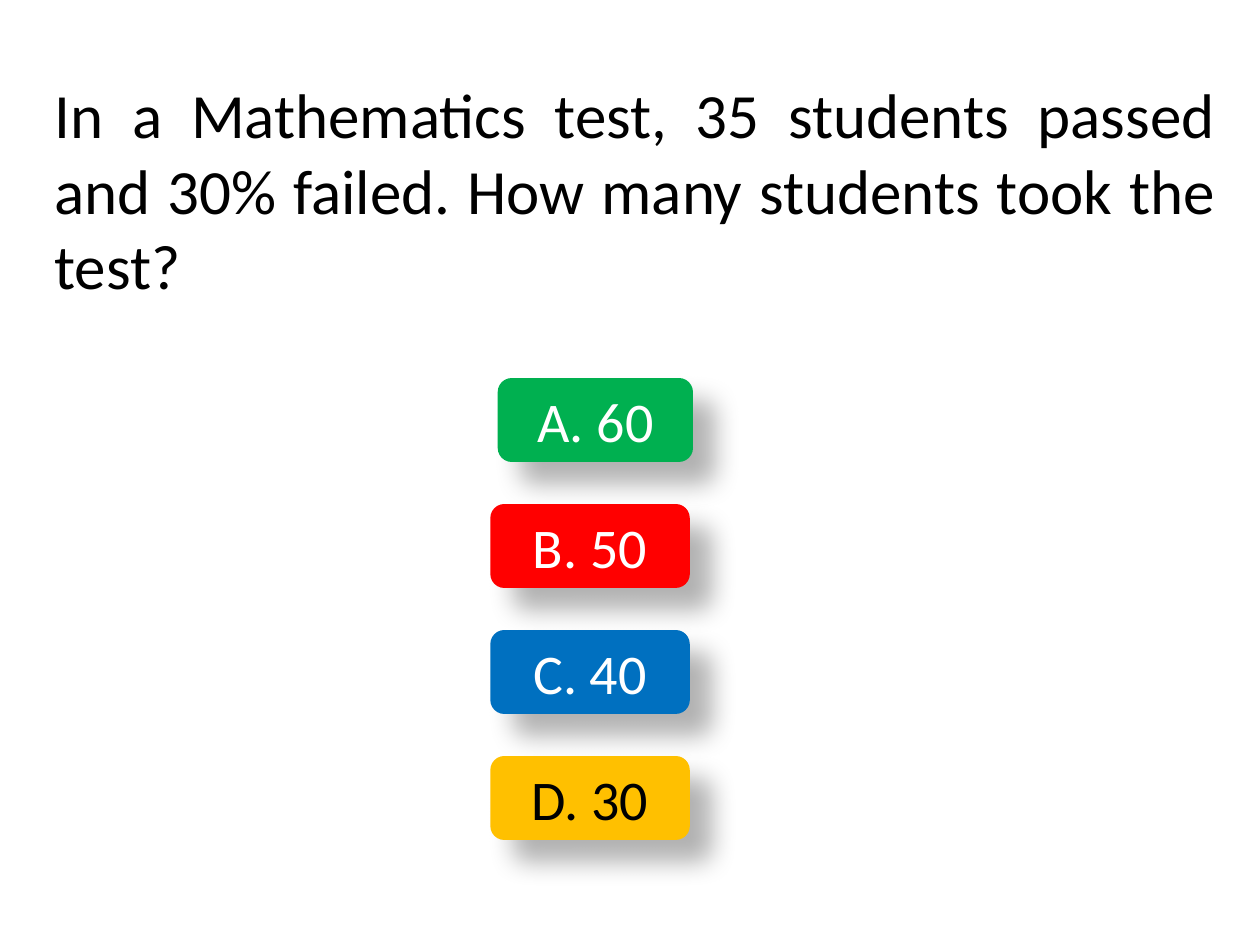
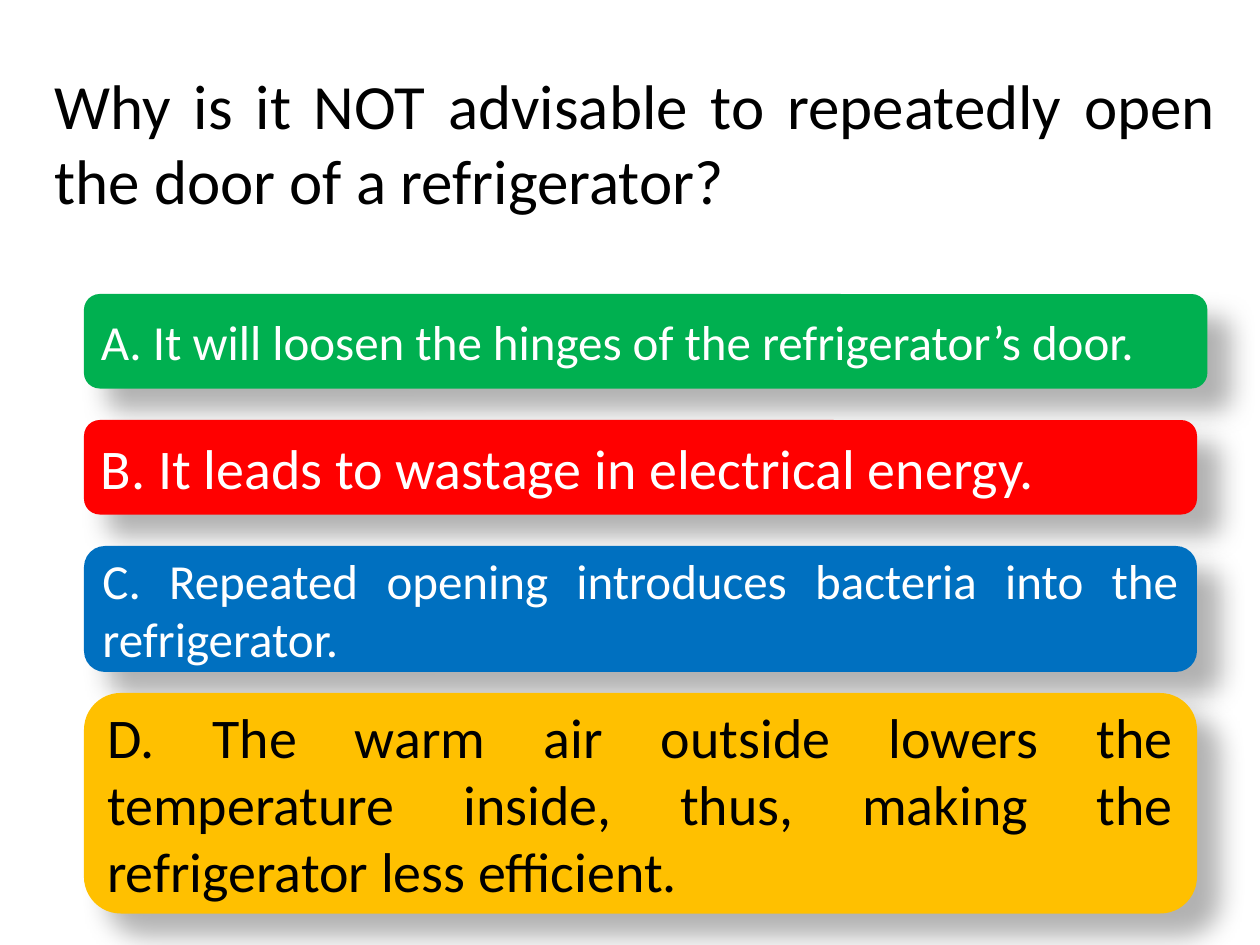
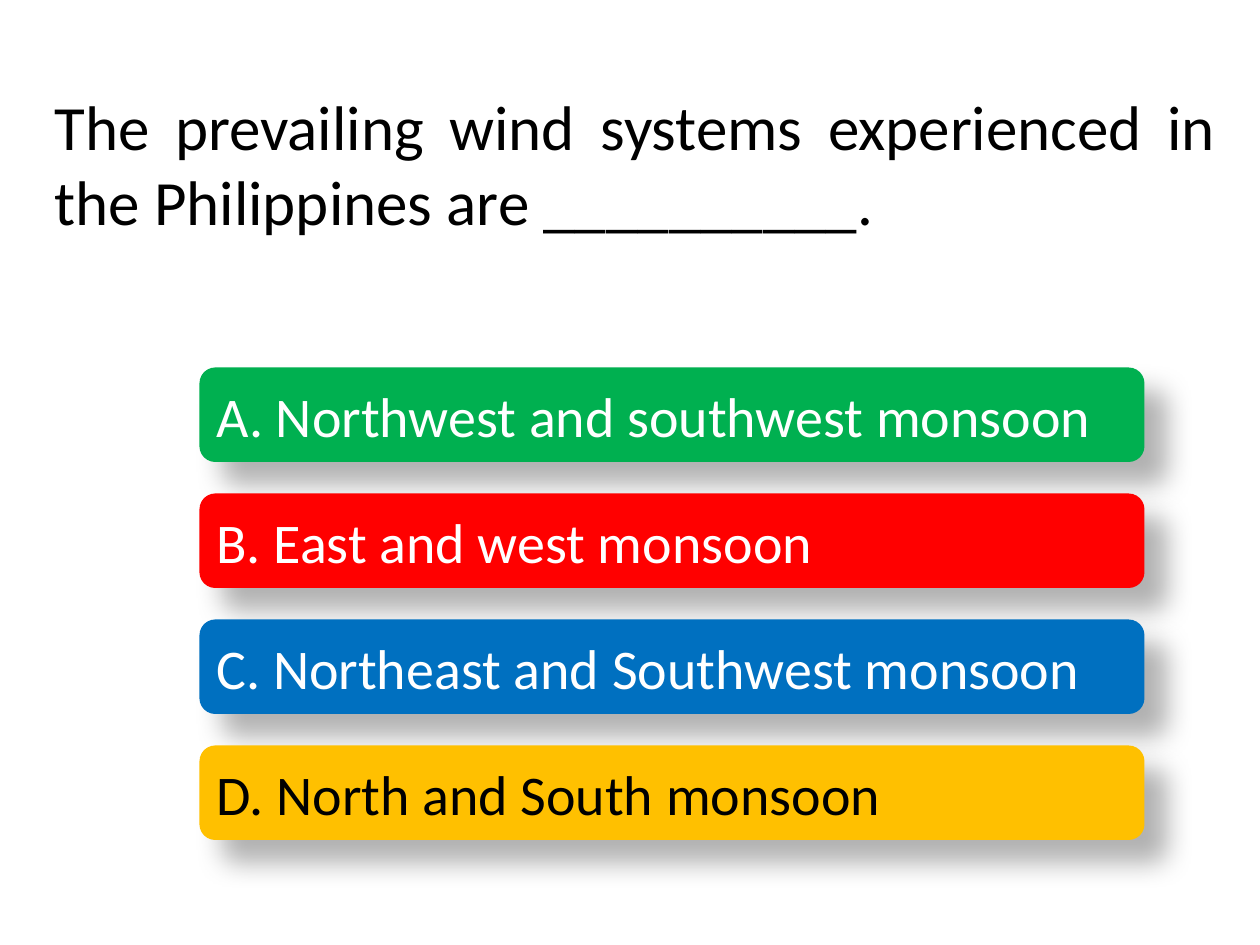
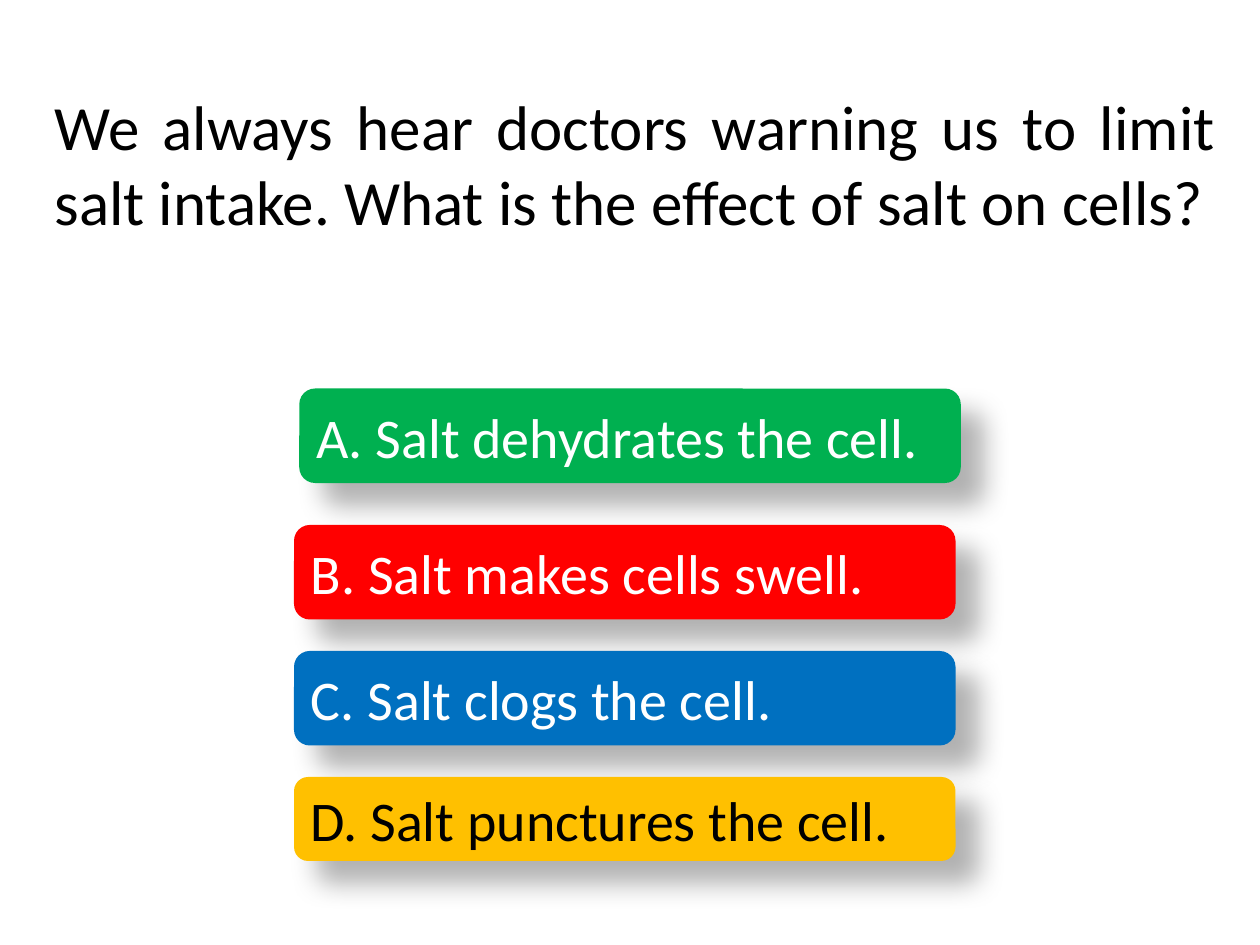
from lxml import etree
from pptx import Presentation
from pptx.dml.color import RGBColor
from pptx.enum.shapes import MSO_SHAPE
from pptx.enum.text import MSO_ANCHOR, PP_ALIGN
from pptx.oxml.ns import qn
from pptx.util import Inches, Pt

# Slide size and grid
SLIDE_W, SLIDE_H = Inches(10), Inches(7.5)
COLS, ROWS = 120, 90
ROW_STEP = 12

# Shared style
FONT = "Calibri"
BLACK, WHITE = "000000", "FFFFFF"
ANSWER_STYLES = [("00B050", WHITE), ("FF0000", WHITE),
                 ("0070C0", WHITE), ("FFC000", BLACK)]

# Each answer may override the defaults of its question
QUIZ = [
    dict(question="In a Mathematics test, 35 students passed and 30% failed. "
                  "How many students took the test?",
         title_rows=26,
         defaults=dict(col=46.7, row=36, cols=19, rows=8, align=PP_ALIGN.CENTER),
         answers=[("A. 60", dict(col=47.4, cols=18.6)),
                  ("B. 50", {}),
                  ("C. 40", {}),
                  ("D. 30", {})]),
    dict(question="Why is it NOT advisable to repeatedly open the door of a refrigerator?",
         title_rows=17,
         defaults=dict(col=8, row=28, cols=106),
         answers=[("A. It will loosen the hinges of the refrigerator’s door.",
                   dict(cols=107, size=28)),
                  ("B. It leads to wastage in electrical energy.", {}),
                  ("C. Repeated opening introduces bacteria into the refrigerator.",
                   dict(rows=12, size=28)),
                  ("D. The warm air outside lowers the temperature inside, thus, "
                   "making the refrigerator less efficient.",
                   dict(row=66, rows=21))]),
    dict(question="The prevailing wind systems experienced in the Philippines "
                  "are __________.",
         title_rows=21,
         defaults=dict(col=19, row=35, cols=90),
         answers=[("A. Northwest and southwest monsoon", {}),
                  ("B. East and west monsoon", {}),
                  ("C. Northeast and Southwest monsoon", {}),
                  ("D. North and South monsoon", {})]),
    dict(question="We always hear doctors warning us to limit salt intake. "
                  "What is the effect of salt on cells?",
         title_rows=21,
         defaults=dict(col=28, row=38, cols=63),
         answers=[("A. Salt dehydrates the cell.", dict(col=28.5, row=37)),
                  ("B. Salt makes cells swell.", {}),
                  ("C. Salt clogs the cell.", {}),
                  ("D. Salt punctures the cell.", dict(rows=8))]),
]


def rgb(value):
    return RGBColor.from_string(value)


def grid(col, row, cols, rows):
    """Turn grid cells into left, top, width and height."""
    return (round(SLIDE_W * col / COLS), round(SLIDE_H * row / ROWS),
            round(SLIDE_W * cols / COLS), round(SLIDE_H * rows / ROWS))


def write(sp, text, size=32, color=BLACK, align=PP_ALIGN.JUSTIFY):
    tf = sp.text_frame
    tf.word_wrap = True
    tf.vertical_anchor = MSO_ANCHOR.MIDDLE
    p = tf.paragraphs[0]
    p.alignment = align
    r = p.add_run()
    r.text = text
    r.font.name = FONT
    r.font.size = Pt(size)
    r.font.color.rgb = rgb(color)


def add_shadow(sp, color=BLACK, alpha=30, blur=15, distance=18, angle=45):
    sp.shadow.inherit = False
    effects = sp._element.spPr.find(qn("a:effectLst"))
    shadow = etree.SubElement(effects, qn("a:outerShdw"), blurRad=str(Pt(blur)),
                              dist=str(Pt(distance)), dir=str(angle * 60000),
                              algn="tl", rotWithShape="0")
    tint = etree.SubElement(shadow, qn("a:srgbClr"), val=color)
    etree.SubElement(tint, qn("a:alpha"), val=str(alpha * 1000))


def add_question(slide, text, rows):
    sp = slide.shapes.add_textbox(*grid(4, 5, 113, rows))
    write(sp, text, size=36)


def add_answer(slide, text, style, col, row, cols, rows=9, **text_format):
    fill, color = style
    sp = slide.shapes.add_shape(MSO_SHAPE.ROUNDED_RECTANGLE,
                                *grid(col, row, cols, rows))
    sp.fill.solid()
    sp.fill.fore_color.rgb = rgb(fill)
    sp.line.fill.background()
    add_shadow(sp)
    write(sp, text, color=color, **text_format)


def add_quiz_slide(prs, question, title_rows, defaults, answers):
    slide = prs.slides.add_slide(prs.slide_layouts[6])
    add_question(slide, question, title_rows)
    for i, ((text, changes), style) in enumerate(zip(answers, ANSWER_STYLES)):
        row = defaults["row"] + i * ROW_STEP
        add_answer(slide, text, style, **{**defaults, "row": row, **changes})


def main():
    prs = Presentation()
    prs.slide_width, prs.slide_height = SLIDE_W, SLIDE_H
    for quiz in QUIZ:
        add_quiz_slide(prs, **quiz)
    prs.save("out.pptx")


if __name__ == "__main__":
    main()
